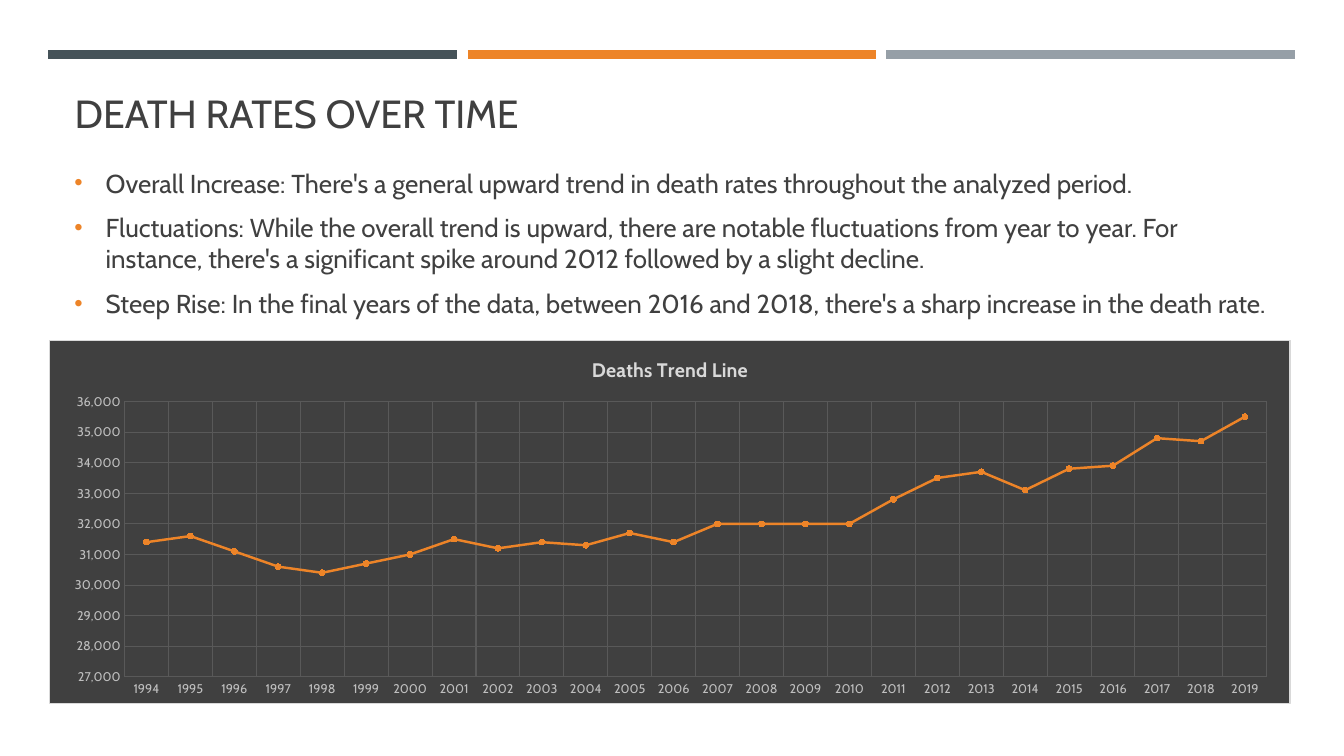
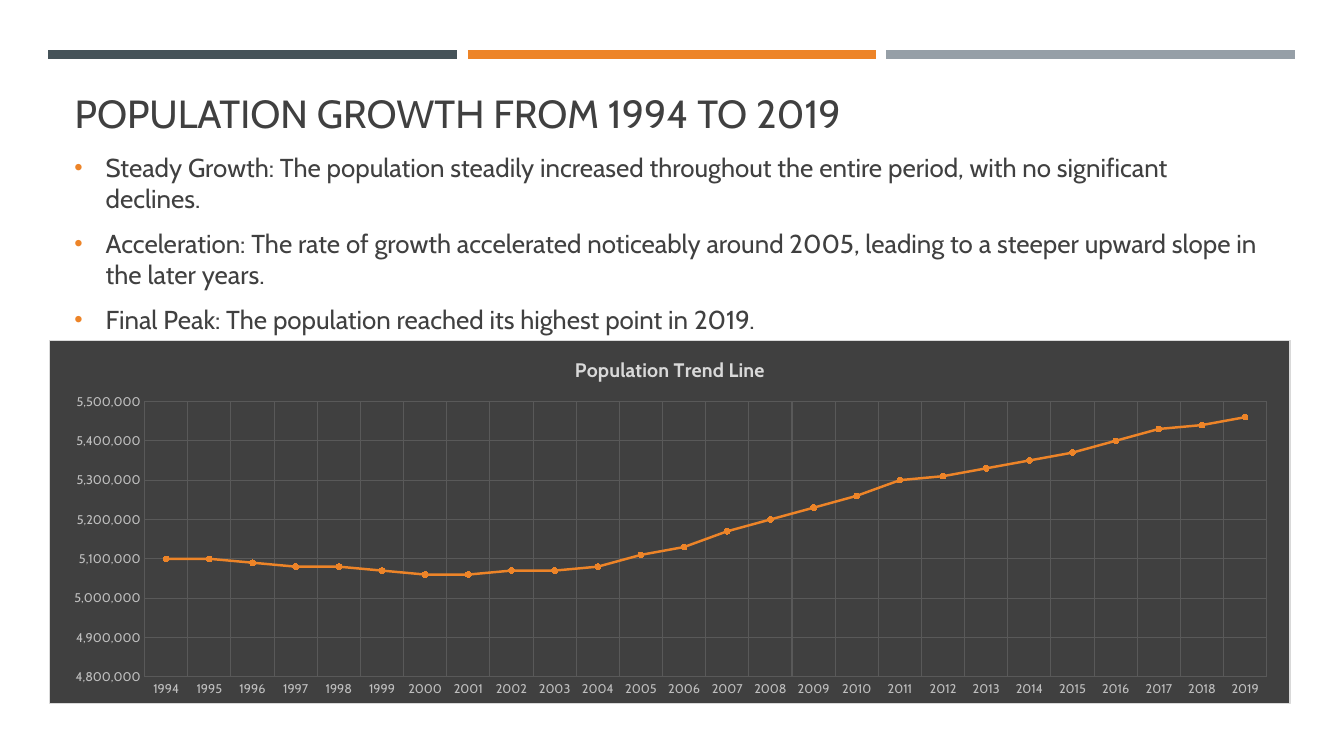
from lxml.etree import SubElement
from pptx import Presentation
from pptx.chart.data import CategoryChartData
from pptx.dml.color import RGBColor
from pptx.enum.chart import XL_CHART_TYPE as ChartType, XL_MARKER_STYLE as Marker
from pptx.enum.chart import XL_TICK_MARK as TickMark
from pptx.enum.shapes import MSO_CONNECTOR as Connector
from pptx.enum.text import MSO_ANCHOR as Anchor, MSO_AUTO_SIZE as AutoSize, PP_ALIGN as Align
from pptx.oxml import parse_xml
from pptx.oxml.ns import nsdecls, qn
from pptx.util import Inches, Pt

FONT = "Cabin"
COLORS = {
    "slate": "465359",
    "orange": "ED8428",
    "gray": "969FA7",
    "text": "404040",
    "panel": "404040",
    "border": "D9D9D9",
    "grid": "595959",
    "labels": "BFBFBF",
    "chart_title": "D9D9D9",
}
BANDS = [("slate", 0.48), ("orange", 4.64), ("gray", 8.79)]
BAND_TOP, BAND_WIDTH = 0.54, 4.05
TITLE_BOX = (0.64, 0.77, 12.02, 0.63)
BODY_BOX = (0.64, 1.57, 12.02, 1.68)
CHART_BOX = (0.49, 3.37, 12.31, 3.61)
PLOT_TOP, PLOT_RIGHT, PLOT_HEIGHT = 0.61, 12.08, 2.74
YEARS = [str(year) for year in range(1994, 2020)]

SLIDES = [
    {
        "title": "DEATH RATES OVER TIME",
        "bullets": [
            "Overall Increase: There's a general upward trend in death rates throughout the analyzed period.",
            "Fluctuations: While the overall trend is upward, there are notable fluctuations from year to year. "
            "For instance, there's a significant spike around 2012 followed by a slight decline.",
            "Steep Rise: In the final years of the data, between 2016 and 2018, "
            "there's a sharp increase in the death rate.",
        ],
        "chart_title": "Deaths Trend Line",
        "scale": (27000, 36000, 1000),
        "plot_left": 0.74,
        "values": [
            31400, 31600, 31100, 30600, 30400, 30700, 31000, 31500, 31200,
            31400, 31300, 31700, 31400, 32000, 32000, 32000, 32000, 32800,
            33500, 33700, 33100, 33800, 33900, 34800, 34700, 35500,
        ],
    },
    {
        "title": "POPULATION GROWTH FROM 1994 TO 2019",
        "bullets": [
            "Steady Growth: The population steadily increased throughout the entire period, "
            "with no significant declines.",
            "Acceleration: The rate of growth accelerated noticeably around 2005, "
            "leading to a steeper upward slope in the later years.",
            "Final Peak: The population reached its highest point in 2019.",
        ],
        "chart_title": "Population Trend Line",
        "scale": (4800000, 5500000, 100000),
        "plot_left": 0.94,
        "values": [
            5100000, 5100000, 5090000, 5080000, 5080000, 5070000, 5060000,
            5060000, 5070000, 5070000, 5080000, 5110000, 5130000, 5170000,
            5200000, 5230000, 5260000, 5300000, 5310000, 5330000, 5350000,
            5370000, 5400000, 5430000, 5440000, 5460000,
        ],
    },
]


def color(name):
    return RGBColor.from_string(COLORS[name])


def inches(box):
    return [Inches(length) for length in box]


def format_font(font, size, color_name, bold=False):
    font.name, font.size, font.bold = FONT, Pt(size), bold
    font.color.rgb = color(color_name)


def write_text(paragraph, text, size=18.5, color_name="text", bold=False, align=None, before=0, after=0):
    run = paragraph.add_run()
    run.text = text
    format_font(run.font, size, color_name, bold)
    paragraph.alignment = align
    paragraph.space_before, paragraph.space_after = Pt(before), Pt(after)


def add_bullet(paragraph):
    properties = paragraph._p.get_or_add_pPr()
    properties.set("marL", str(Inches(0.31)))
    properties.set("indent", str(-Inches(0.31)))
    bullet_color = SubElement(properties, qn("a:buClr"))
    SubElement(bullet_color, qn("a:srgbClr"), val=COLORS["orange"])
    SubElement(properties, qn("a:buSzPct"), val="92000")
    SubElement(properties, qn("a:buFont"), typeface="Arial")
    SubElement(properties, qn("a:buChar"), char="•")


def add_bands(slide):
    for name, left in BANDS:
        ends = inches((left, BAND_TOP, left + BAND_WIDTH, BAND_TOP))
        band = slide.shapes.add_connector(Connector.STRAIGHT, *ends)
        band.line.color.rgb = color(name)
        band.line.width = Pt(6.5)
        SubElement(band._element.spPr, qn("a:effectLst"))


def add_title(slide, text):
    title = slide.shapes.title
    title.left, title.top, title.width, title.height = inches(TITLE_BOX)
    frame = title.text_frame
    frame.auto_size, frame.vertical_anchor = AutoSize.NONE, Anchor.BOTTOM
    write_text(frame.paragraphs[0], text, size=28, align=Align.LEFT)


def add_body(slide, bullets):
    frame = slide.shapes.add_textbox(*inches(BODY_BOX)).text_frame
    frame.word_wrap, frame.vertical_anchor = True, Anchor.MIDDLE
    for index, text in enumerate(bullets):
        paragraph = frame.add_paragraph() if index else frame.paragraphs[0]
        write_text(paragraph, text, before=3.7, after=6)
        add_bullet(paragraph)


def style_axis(axis):
    axis.major_tick_mark = axis.minor_tick_mark = TickMark.NONE
    axis.format.line.fill.background()
    axis.has_major_gridlines = True
    grid = axis.major_gridlines.format.line
    grid.color.rgb, grid.width = color("grid"), Pt(0.75)
    format_font(axis.tick_labels.font, 9, "labels")


def set_panel(chart):
    panel = parse_xml(
        f'<c:spPr {nsdecls("c", "a")}>'
        f'<a:solidFill><a:srgbClr val="{COLORS["panel"]}"/></a:solidFill>'
        f'<a:ln w="{Pt(0.75)}"><a:solidFill><a:srgbClr val="{COLORS["border"]}"/></a:solidFill></a:ln>'
        "</c:spPr>"
    )
    chart.element.find(qn("c:chart")).addnext(panel)


def place_plot(chart, left):
    width, height = CHART_BOX[2:]
    plot_area = chart.element.find(qn("c:chart")).find(qn("c:plotArea"))
    for old_layout in plot_area.findall(qn("c:layout")):
        plot_area.remove(old_layout)
    layout = parse_xml(f'<c:layout {nsdecls("c")}/>')
    manual = SubElement(layout, qn("c:manualLayout"))
    settings = {
        "layoutTarget": "inner",
        "xMode": "edge",
        "yMode": "edge",
        "x": left / width,
        "y": PLOT_TOP / height,
        "w": (PLOT_RIGHT - left) / width,
        "h": PLOT_HEIGHT / height,
    }
    for name, value in settings.items():
        SubElement(manual, qn(f"c:{name}"), val=str(value))
    plot_area.insert(0, layout)


def add_trend_chart(slide, content):
    data = CategoryChartData(number_format="#,##0")
    data.categories = YEARS
    data.add_series("Series 1", content["values"])
    chart = slide.shapes.add_chart(ChartType.LINE_MARKERS, *inches(CHART_BOX), data).chart
    format_font(chart.font, 10, "labels")
    chart.has_legend = False
    chart.has_title = True
    title = chart.chart_title.text_frame.paragraphs[0]
    write_text(title, content["chart_title"], size=14, color_name="chart_title", bold=True)

    style_axis(chart.category_axis)
    value_axis = chart.value_axis
    style_axis(value_axis)
    value_axis.minimum_scale, value_axis.maximum_scale, value_axis.major_unit = content["scale"]
    value_axis.tick_labels.number_format = "#,##0"
    value_axis.tick_labels.number_format_is_linked = False

    chart.plots[0].vary_by_categories = False
    series = chart.plots[0].series[0]
    series.smooth = False
    series.format.line.color.rgb, series.format.line.width = color("orange"), Pt(1.75)
    marker = series.marker
    marker.style, marker.size = Marker.CIRCLE, 4
    marker.format.fill.solid()
    marker.format.fill.fore_color.rgb = color("orange")
    marker.format.line.color.rgb = color("orange")
    set_panel(chart)
    place_plot(chart, content["plot_left"])


def main():
    presentation = Presentation()
    presentation.slide_width, presentation.slide_height = Inches(13.33), Inches(7.5)
    for content in SLIDES:
        slide = presentation.slides.add_slide(presentation.slide_layouts[5])
        add_bands(slide)
        add_title(slide, content["title"])
        add_body(slide, content["bullets"])
        add_trend_chart(slide, content)
    presentation.save("out.pptx")


if __name__ == "__main__":
    main()
